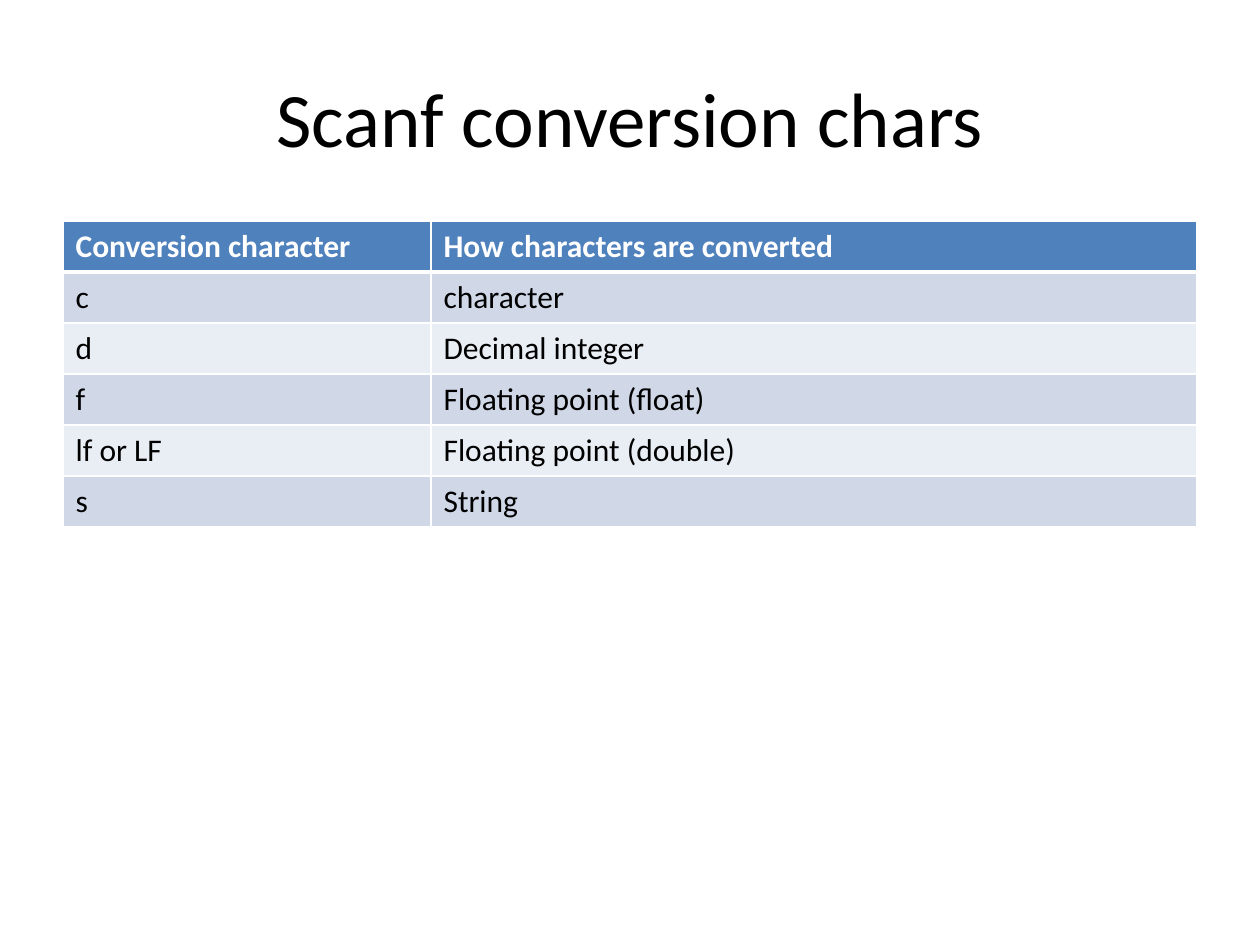
from dataclasses import dataclass

from lxml.etree import SubElement
from pptx import Presentation
from pptx.dml.color import RGBColor
from pptx.enum.text import MSO_ANCHOR, PP_ALIGN
from pptx.oxml.ns import qn
from pptx.util import Pt

EMU_PER_PIXEL = 914400 // 126


def px(pixels):
    return pixels * EMU_PER_PIXEL


@dataclass(frozen=True)
class Theme:
    font: str = "Calibri"
    title_size: int = 44
    cell_size: int = 18
    ink: str = "000000"
    paper: str = "FFFFFF"
    header: str = "4F81BD"
    bands: tuple = ("D0D8E8", "E9EDF4")
    rule: int = 1
    header_rule: int = 3


THEME = Theme()

CONVERSIONS = [
    ("Conversion character", "How characters are converted"),
    ("c", "character"),
    ("d", "Decimal integer"),
    ("f", "Floating point (float)"),
    ("lf or LF", "Floating point (double)"),
    ("s", "String "),
]


def write(text_frame, text, size, color, bold=False):
    text_frame.text = text
    for run in text_frame.paragraphs[0].runs:
        run.font.name = THEME.font
        run.font.size = Pt(size)
        run.font.bold = bold
        run.font.color.rgb = RGBColor.from_string(color)


def set_borders(cell, widths):
    properties = cell._tc.get_or_add_tcPr()
    for side, width in zip("LRTB", widths):
        border = SubElement(properties, qn(f"a:ln{side}"), w=str(Pt(width)))
        fill = SubElement(border, qn("a:solidFill"))
        SubElement(fill, qn("a:srgbClr"), val=THEME.paper)


def add_title(slide, text, left, top, width, height):
    title = slide.shapes.add_textbox(px(left), px(top), px(width), px(height)).text_frame
    title.word_wrap = True
    title.vertical_anchor = MSO_ANCHOR.MIDDLE
    write(title, text, THEME.title_size, THEME.ink)
    title.paragraphs[0].alignment = PP_ALIGN.CENTER


def add_conversions(slide, rows, left, top, width, height, first_column):
    columns = (first_column, width - first_column)
    table = slide.shapes.add_table(
        len(rows), len(columns), px(left), px(top), px(width), px(height)
    ).table
    for column, column_width in zip(table.columns, columns):
        column.width = px(column_width)

    for r, entries in enumerate(rows):
        is_header = r == 0
        background = THEME.header if is_header else THEME.bands[(r - 1) % 2]
        color = THEME.paper if is_header else THEME.ink
        above = THEME.header_rule if r == 1 else THEME.rule
        below = THEME.header_rule if is_header else THEME.rule
        for c, entry in enumerate(entries):
            cell = table.cell(r, c)
            write(cell.text_frame, entry, THEME.cell_size, color, is_header)
            set_borders(cell, (THEME.rule, THEME.rule, above, below))
            cell.fill.solid()
            cell.fill.fore_color.rgb = RGBColor.from_string(background)


# Slide
deck = Presentation()
deck.slide_width, deck.slide_height = px(1260), px(945)
slide = deck.slides.add_slide(deck.slide_layouts[6])

# Heading and table share one left edge and width
add_title(slide, "Scanf conversion chars", 63, 38, 1134, 158)
add_conversions(slide, CONVERSIONS, 63, 221, 1134, 306, first_column=368)

deck.save("out.pptx")
